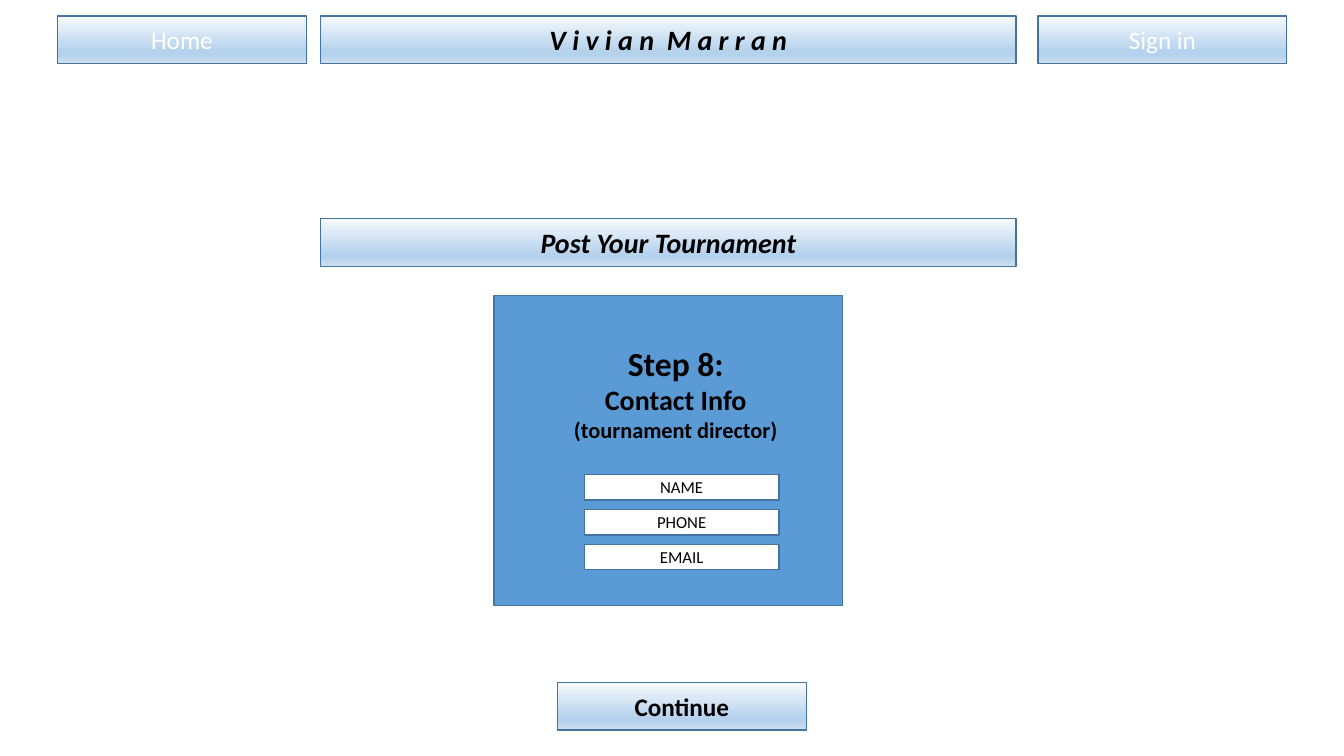
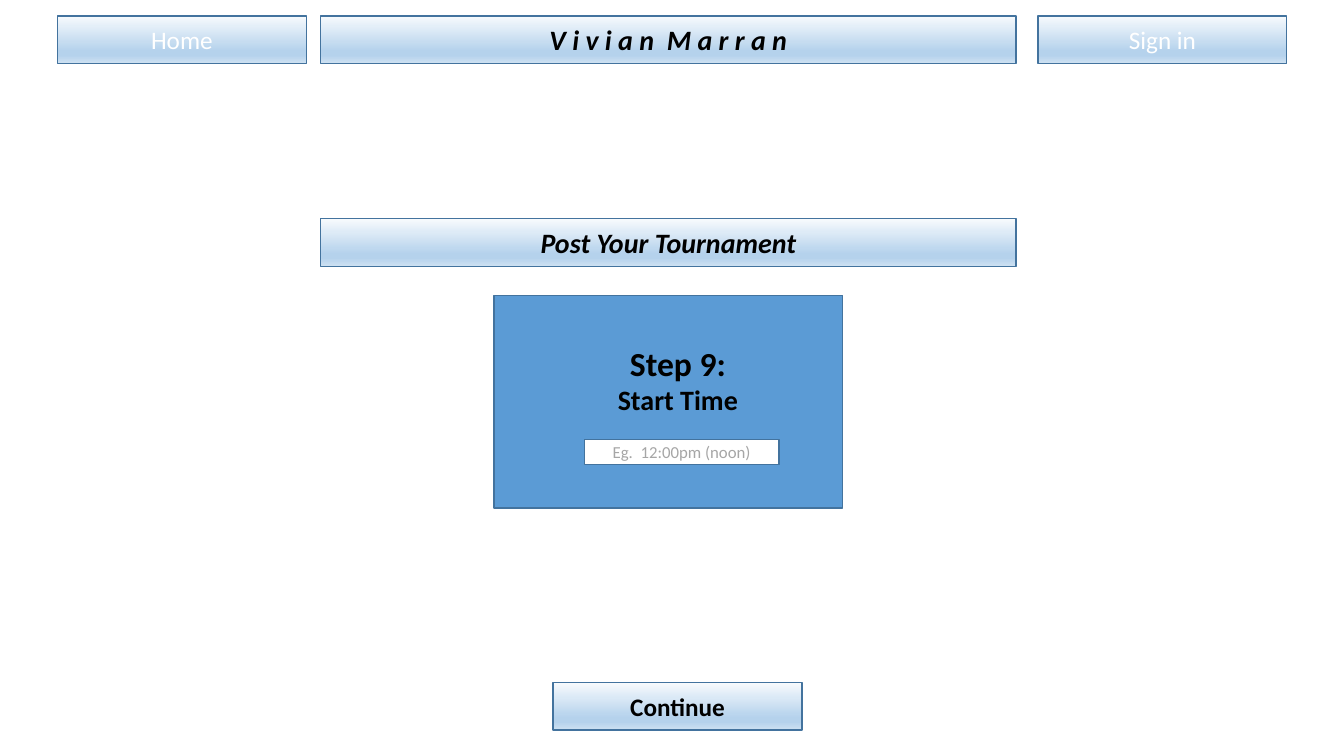
from dataclasses import dataclass

from lxml import etree
from pptx import Presentation
from pptx.dml.color import RGBColor
from pptx.enum import shapes, text
from pptx.oxml.ns import qn
from pptx.util import Cm, Pt


@dataclass(frozen=True)
class Theme:
    font: str = "Calibri"
    black: str = "000000"
    white: str = "FFFFFF"
    hint: str = "A6A6A6"
    panel: str = "5B9BD5"
    outline: str = "43739E"
    # Bar gradient: position in percent, colour
    gradient: tuple = ((0, "F7FAFD"), (74, "B5D2EC"), (83, "B5D2EC"), (100, "CEE1F2"))
    step: int = 24
    heading: int = 20
    button: int = 18
    note: int = 16
    field: int = 12


T = Theme()

# Shared grid, in cm
SIDE_W, MAIN_W, BAR_H = 6.27, 17.53, 1.2
HOME_X, MAIN_X, SIGN_X = 1.45, 8.08, 26.16
NAV_Y, TITLE_Y, BUTTON_Y = 0.4, 5.51, 17.2
PANEL_X, PANEL_Y, PANEL_W = 12.45, 7.44, 8.79
FIELD_X, FIELD_W, FIELD_H, FIELD_PITCH = 2.28, 4.9, 0.64, 0.88


def style_runs(p, size, color, bold=False, italic=False):
    p.alignment = text.PP_ALIGN.CENTER
    p.line_spacing = 1.0
    for r in p.runs:
        f = r.font
        f.name, f.size, f.bold, f.italic = T.font, Pt(size), bold, italic
        f.color.rgb = RGBColor.from_string(color)


def write(sp, words, size, color, bold=False, italic=False):
    tf = sp.text_frame
    tf.text = words
    tf.word_wrap = True
    tf.auto_size = text.MSO_AUTO_SIZE.NONE
    tf.vertical_anchor = text.MSO_ANCHOR.MIDDLE
    style_runs(tf.paragraphs[0], size, color, bold, italic)


def outline(sp):
    sp.line.color.rgb = RGBColor.from_string(T.outline)
    sp.line.width = Pt(1)


def add_rect(s, x, y, w, h, fill=None):
    sp = s.shapes.add_shape(shapes.MSO_SHAPE.RECTANGLE, Cm(x), Cm(y), Cm(w), Cm(h))
    sp.shadow.inherit = False
    if fill:
        sp.fill.solid()
        sp.fill.fore_color.rgb = RGBColor.from_string(fill)
    outline(sp)
    return sp


def paint_bar(sp):
    sp.fill.gradient()
    sp.fill.gradient_angle = 270
    stops = sp._element.spPr.find(".//" + qn("a:gsLst"))
    for stop in list(stops):
        stops.remove(stop)
    for pos, color in T.gradient:
        stop = etree.SubElement(stops, qn("a:gs"), pos=str(pos * 1000))
        etree.SubElement(stop, qn("a:srgbClr"), val=color)
    outline(sp)


def add_bar(s, x, y, w, words, size, color, bold=False, italic=False):
    sp = add_rect(s, x, y, w, BAR_H)
    paint_bar(sp)
    write(sp, words, size, color, bold, italic)


def add_navigation(s):
    add_bar(s, HOME_X, NAV_Y, SIDE_W, "Home", T.button, T.white)
    add_bar(s, MAIN_X, NAV_Y, MAIN_W, "V i v i a n  M a r r a n", T.heading, T.black, True, True)
    add_bar(s, SIGN_X, NAV_Y, SIDE_W, "Sign in", T.button, T.white)


def add_title(s):
    sp = s.shapes.title
    sp.left, sp.top, sp.width, sp.height = Cm(MAIN_X), Cm(TITLE_Y), Cm(MAIN_W), Cm(BAR_H)
    paint_bar(sp)
    write(sp, "Post Your Tournament", T.heading, T.black, True, True)


def add_panel(s, x, y, h, heading, heading_x, heading_w, fields, field_y, field_color):
    add_rect(s, x, y, PANEL_W, h, T.panel)

    # Heading: each paragraph is a list of (words, size)
    tb = s.shapes.add_textbox(Cm(x + heading_x), Cm(y + 1.07), Cm(heading_w), Cm(2.9))
    tf = tb.text_frame
    tf.word_wrap = True
    for i, parts in enumerate(heading):
        p = tf.add_paragraph() if i else tf.paragraphs[0]
        for words, _ in parts:
            p.add_run().text = words
        style_runs(p, T.step, T.black, True)
        for r, (_, size) in zip(p.runs, parts):
            r.font.size = Pt(size)

    # Input fields
    for i, label in enumerate(fields):
        sp = add_rect(s, x + FIELD_X, y + field_y + i * FIELD_PITCH, FIELD_W, FIELD_H, T.white)
        write(sp, label, T.field, field_color)


def add_step_slide(prs, button_x, **panel):
    s = prs.slides.add_slide(prs.slide_layouts[5])
    add_navigation(s)
    add_title(s)
    add_panel(s, PANEL_X, PANEL_Y, **panel)
    add_bar(s, button_x, BUTTON_Y, SIDE_W, "Continue", T.button, T.black, True)


def main():
    prs = Presentation()
    prs.slide_width, prs.slide_height = Cm(33.87), Cm(19.05)

    # Step 8: contact details
    add_step_slide(
        prs, 14.05, h=7.82, heading_x=1.67, heading_w=5.82,
        heading=[[("Step 8:", T.step)],
                 [("Contact Info ", T.heading), ("(tournament director)", T.note)]],
        fields=["NAME", "PHONE", "EMAIL"], field_y=4.52, field_color=T.black)

    # Step 9: start time
    add_step_slide(
        prs, 13.94, h=5.36, heading_x=2.08, heading_w=5.11,
        heading=[[("Step 9:", T.step)], [("Start Time", T.heading)]],
        fields=["Eg.  12:00pm (noon)"], field_y=3.63, field_color=T.hint)

    prs.save("out.pptx")


if __name__ == "__main__":
    main()
